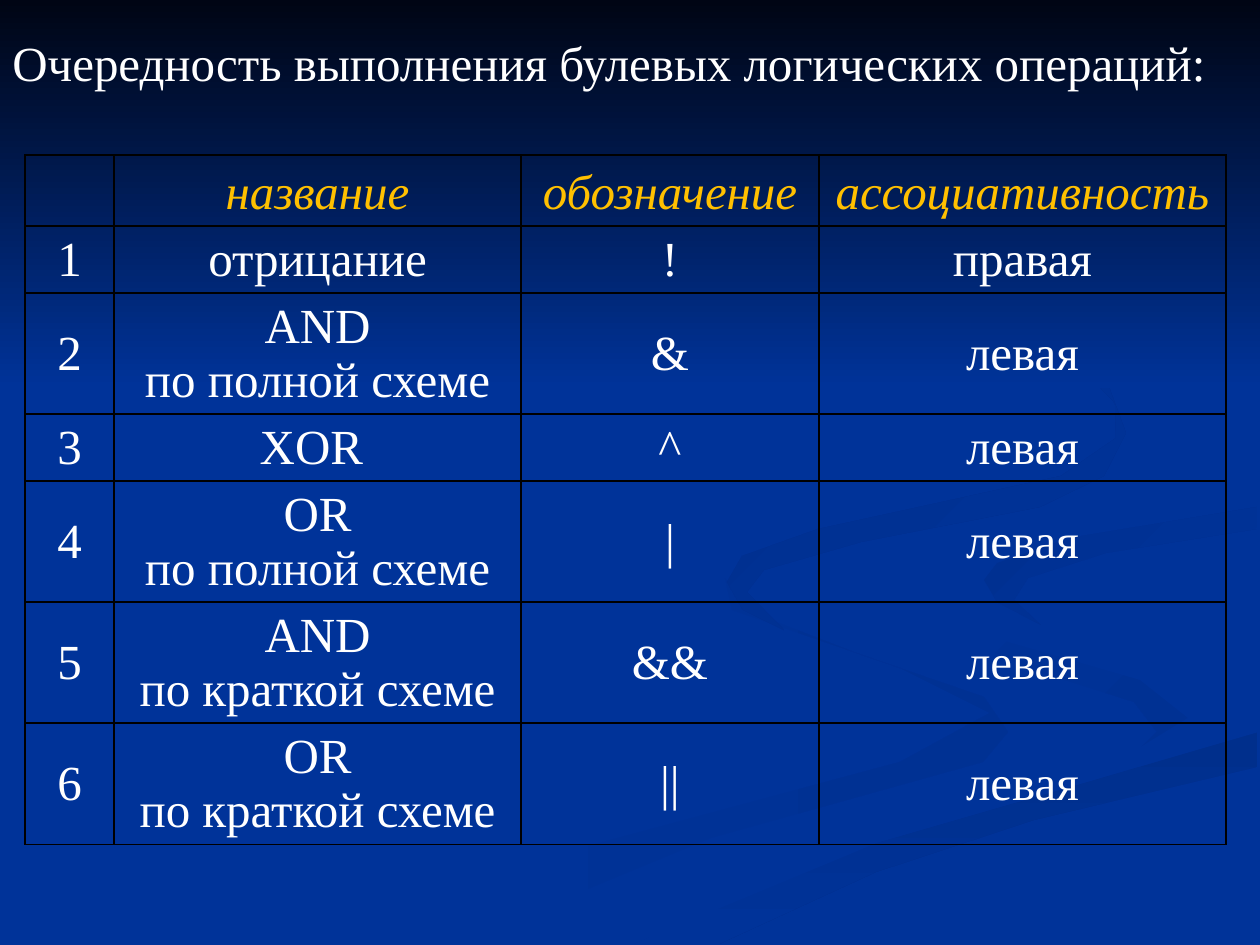
"""Build a slide with a table of the precedence of Boolean logical operators."""
from lxml.etree import SubElement
from pptx import Presentation
from pptx.dml.color import RGBColor
from pptx.enum.shapes import MSO_SHAPE
from pptx.enum.text import MSO_ANCHOR as Anchor, PP_ALIGN as Align
from pptx.oxml.ns import qn
from pptx.util import Pt

PX = 914400 / 126
FONT = "Times New Roman"
BLUE = "003399"


def rgb(value):
    return RGBColor.from_string(value)


def paint(shape, start, end, angle):
    shape.shadow.inherit = False
    shape.line.fill.background()
    if start == end:
        shape.fill.solid()
        shape.fill.fore_color.rgb = rgb(start)
        return
    shape.fill.gradient()
    shape.fill.gradient_angle = (360 - angle) % 360
    for stop, color in zip(shape.fill.gradient_stops, (start, end)):
        stop.color.rgb = rgb(color)


presentation = Presentation()
presentation.slide_width = round(1260 * PX)
presentation.slide_height = round(945 * PX)
slide = presentation.slides.add_slide(presentation.slide_layouts[6])
slide.background.fill.solid()
slide.background.fill.fore_color.rgb = rgb(BLUE)

ribbons = [
    (BLUE, "003193", 0, [
        (984, 697), (859, 654), (748, 611), (725, 578), (732, 610), (900, 668), (990, 713),
        (900, 762), (577, 849), (378, 944), (455, 944), (711, 838), (983, 762), (1008, 732)]),
    (BLUE, "003193", 45, [
        (1188, 718), (1140, 680), (955, 627), (912, 585), (931, 622), (1027, 668), (1134, 702),
        (1157, 732), (1126, 762), (1186, 732)]),
    ("002F8C", BLUE, 90, [
        (634, 944), (719, 944), (876, 872), (1034, 820), (1257, 767), (1257, 732), (1092, 781),
        (877, 843), (717, 906)]),
    (BLUE, BLUE, 0, [
        (914, 585), (956, 627), (1140, 680), (1188, 718), (1110, 766), (780, 862), (601, 944),
        (634, 944), (877, 843), (1259, 732), (1259, 678), (1068, 634), (985, 580), (1071, 538),
        (1259, 507), (1259, 488), (993, 532)]),
    ("003091", BLUE, 45, [
        (984, 580), (997, 602), (1041, 625), (1014, 600), (1028, 578), (1106, 553), (1257, 529),
        (1257, 507), (1070, 538), (997, 563)]),
    ("002F8E", BLUE, 45, [
        (861, 542), (1040, 507), (1104, 476), (1126, 433), (1109, 387), (1062, 347), (960, 294),
        (1066, 352), (1115, 403), (1116, 438), (1061, 476), (818, 529), (742, 556), (727, 582),
        (743, 610), (784, 630), (747, 592), (764, 570)]),
]
for start, end, angle, points in ribbons:
    builder = slide.shapes.build_freeform(*points[0], scale=PX)
    builder.add_line_segments(points[1:], close=True)
    paint(builder.convert_to_shape(), start, end, angle)

sky = slide.shapes.add_shape(MSO_SHAPE.RECTANGLE, 0, 0, round(1260 * PX), round(388 * PX))
paint(sky, "000514", BLUE, 90)

rows = [
    ("", "название", "обозначение", "ассоциативность"),
    ("1", "отрицание", "!", "правая"),
    ("2", "AND\nпо полной схеме", "&", "левая"),
    ("3", "XOR ", "^", "левая"),
    ("4", "OR\nпо полной схеме", "|", "левая"),
    ("5", "AND\nпо краткой схеме", "&&", "левая"),
    ("6", "OR\nпо краткой схеме", "||", "левая"),
]
widths = [89, 407, 298, 407]
heights = [71] + [121 if "\n" in row[1] else 67 for row in rows[1:]]
frame = slide.shapes.add_table(len(rows), len(widths), round(25 * PX), round(155 * PX),
                               round(sum(widths) * PX), round(sum(heights) * PX))
table = frame.table
table.first_row = False
table.horz_banding = False
for column, width in zip(table.columns, widths):
    column.width = round(width * PX)

for row_index, (row, height) in enumerate(zip(rows, heights)):
    table.rows[row_index].height = round(height * PX)
    is_header = row_index == 0
    for column_index, text in enumerate(row):
        cell = table.cell(row_index, column_index)
        cell.text_frame.text = text
        cell.vertical_anchor = Anchor.BOTTOM if is_header or column_index == 1 else Anchor.MIDDLE
        for paragraph in cell.text_frame.paragraphs:
            paragraph.alignment = Align.CENTER
            paragraph.font.name = FONT
            paragraph.font.size = Pt(28)
            paragraph.font.italic = is_header
            paragraph.font.color.rgb = rgb("FFC000" if is_header else "FFFFFF")
        properties = cell._tc.get_or_add_tcPr()
        for side in ("lnL", "lnR", "lnT", "lnB"):
            border = SubElement(properties, qn(f"a:{side}"), w=str(Pt(1)))
            SubElement(SubElement(border, qn("a:solidFill")), qn("a:srgbClr"), val="000000")
        cell.fill.background()

title = slide.shapes.add_textbox(0, round(26 * PX), round(1260 * PX), round(72 * PX))
title.text_frame.word_wrap = True
paragraph = title.text_frame.paragraphs[0]
paragraph.text = "Очередность выполнения булевых логических операций:"
paragraph.font.name = FONT
paragraph.font.size = Pt(28)
paragraph.font.color.rgb = rgb("FFFFFF")

presentation.save("out.pptx")
